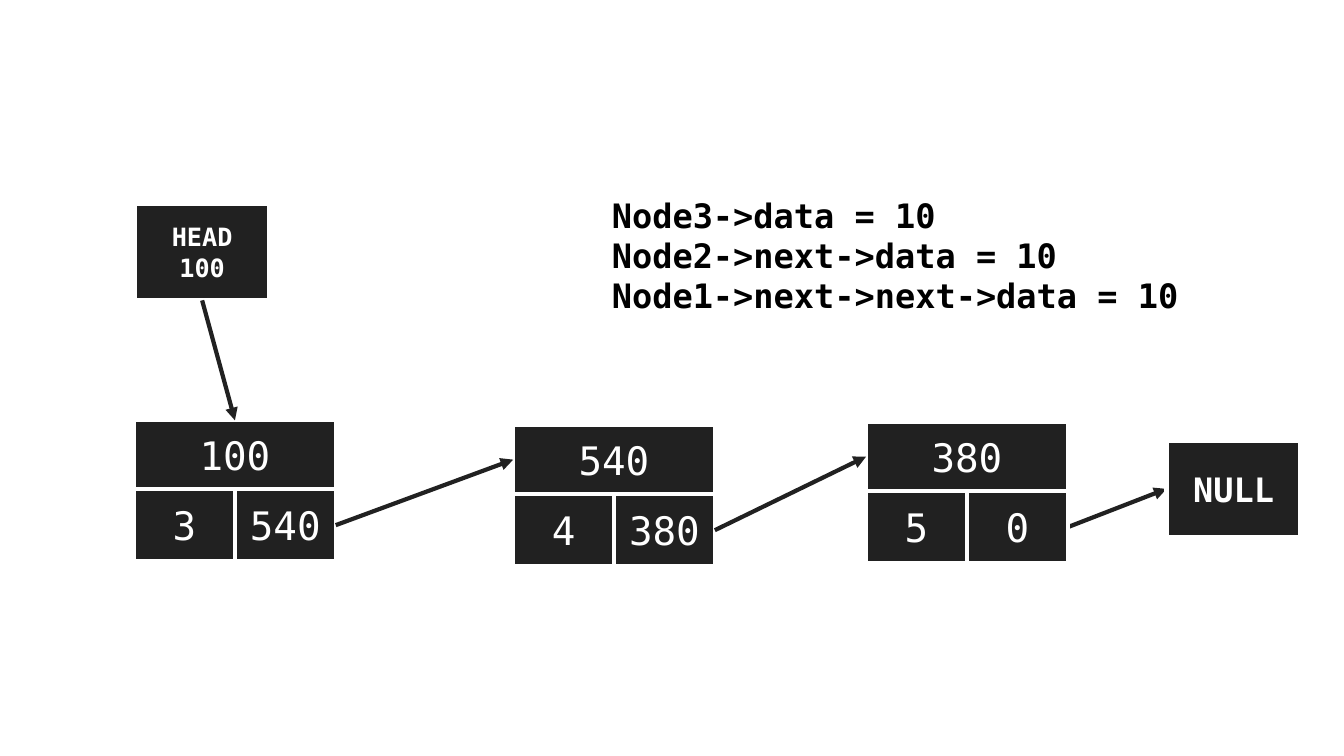
from pptx import Presentation
from pptx.dml.color import RGBColor
from pptx.enum.shapes import MSO_CONNECTOR, MSO_SHAPE
from pptx.enum.text import MSO_ANCHOR, MSO_AUTO_SIZE, PP_ALIGN
from pptx.oxml.ns import qn
from pptx.util import Inches, Pt
from lxml import etree

RECTANGLE, STRAIGHT = MSO_SHAPE.RECTANGLE, MSO_CONNECTOR.STRAIGHT
MIDDLE, TOP_ANCHOR = MSO_ANCHOR.MIDDLE, MSO_ANCHOR.TOP
CENTER, LEFT_ALIGN = PP_ALIGN.CENTER, PP_ALIGN.LEFT
GROW = MSO_AUTO_SIZE.SHAPE_TO_FIT_TEXT
TOP, LEFT, BOTTOM, RIGHT = range(4)  # connection sites of a rectangle

# Content: address, data, next, left, top
NODES = [
    ("100", "3", "540", 1.33, 4.17),
    ("540", "4", "380", 5.09, 4.22),
    ("380", "5", "0", 8.59, 4.19),
]
HEAD = ["HEAD", "100"]
NULL = ["NULL"]
STATEMENTS = [
    "Node3->data = 10",
    "Node2->next->data = 10",
    "Node1->next->next->data = 10",
]

COLORS = {"box": "212121", "outline": "FFFFFF", "light": "FFFFFF", "code": "000000"}
FONT = "DejaVu Sans Mono"
LINE_WIDTH = Pt(3)
CELL_WIDTH, ADDRESS_HEIGHT, CELL_HEIGHT, NODE_HEIGHT = 1, 0.68, 0.72, 1.42
POINTER_SIZE = (1.33, 0.96)


def color(name):
    return RGBColor.from_string(COLORS[name])


def write(shape, lines, size, bold, text_color="light", align=CENTER, anchor=MIDDLE):
    frame = shape.text_frame
    frame.word_wrap = True
    frame.vertical_anchor = anchor
    frame.text = "\n".join(lines)
    font_format = {"name": FONT, "size": Pt(size), "bold": bold}
    for paragraph in frame.paragraphs:
        paragraph.alignment = align
        font = paragraph.runs[0].font
        for attribute, value in font_format.items():
            setattr(font, attribute, value)
        font.color.rgb = color(text_color)


def add_box(shapes, left, top, width, height, lines=(), size=28, bold=False):
    box = shapes.add_shape(RECTANGLE, *map(Inches, (left, top, width, height)))
    box.shadow.inherit = False
    box.fill.solid()
    box.fill.fore_color.rgb = color("box")
    box.line.color.rgb = color("outline")
    box.line.width = LINE_WIDTH
    if lines:
        write(box, lines, size, bold)
    return box


def add_node(address, data, following, left, top):
    shapes = slide.shapes.add_group_shape().shapes
    cells_top = top + ADDRESS_HEIGHT
    add_box(shapes, left, top, 2 * CELL_WIDTH, NODE_HEIGHT)
    address_box = add_box(shapes, left, top, 2 * CELL_WIDTH, ADDRESS_HEIGHT, [address])
    data_box, next_box = [
        add_box(shapes, left + column * CELL_WIDTH, cells_top, CELL_WIDTH, CELL_HEIGHT, [text])
        for column, text in enumerate((data, following))
    ]
    return address_box, next_box


def add_arrow():
    arrow = slide.shapes.add_connector(STRAIGHT, 0, 0, 0, 0)
    arrow.line.color.rgb = color("box")
    arrow.line.width = LINE_WIDTH
    properties = arrow.line._get_or_add_ln()
    etree.SubElement(properties, qn("a:tailEnd"), type="triangle")
    etree.SubElement(arrow._element.spPr, qn("a:effectLst"))
    return arrow


def join(arrow, source, source_site, target, target_site):
    arrow.begin_connect(source, source_site)
    arrow.end_connect(target, target_site)


presentation = Presentation()
presentation.slide_width, presentation.slide_height = Inches(13.33), Inches(7.5)
blank_layout = presentation.slide_layouts[6]
slide = presentation.slides.add_slide(blank_layout)

# The arrow to NULL lies behind the boxes
null_arrow = add_arrow()

# Linked nodes and the two pointers
nodes = [add_node(*node) for node in NODES]
head_box = add_box(slide.shapes, 1.34, 2.02, *POINTER_SIZE, HEAD, 18, True)
null_box = add_box(slide.shapes, 11.57, 4.37, *POINTER_SIZE, NULL, 24, True)

# Arrows from each pointer to the address it holds
join(add_arrow(), head_box, BOTTOM, nodes[0][0], TOP)
for (_, next_box), (address_box, _) in zip(nodes, nodes[1:]):
    join(add_arrow(), next_box, RIGHT, address_box, LEFT)
join(null_arrow, nodes[-1][1], RIGHT, null_box, LEFT)

# Equivalent statements
code_box = slide.shapes.add_textbox(*map(Inches, (5.97, 1.88, 6.52, 1.31)))
write(code_box, STATEMENTS, 24, True, "code", LEFT_ALIGN, TOP_ANCHOR)
code_box.text_frame.auto_size = GROW

presentation.save("out.pptx")
